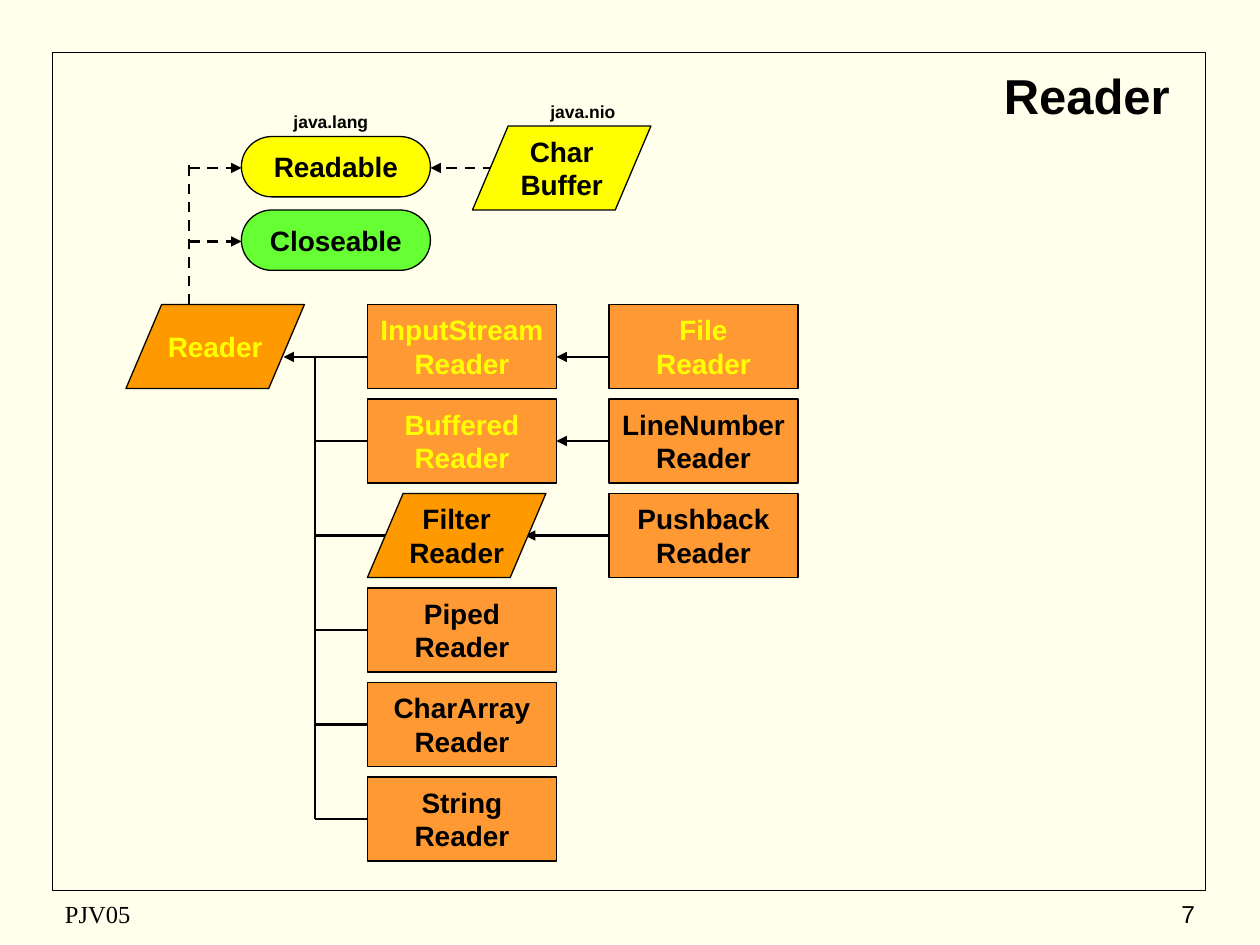
"""Build the Reader class hierarchy slide."""
from lxml import etree
from pptx import Presentation
from pptx.dml.color import RGBColor
from pptx.enum import dml, shapes, text
from pptx.oxml import ns
from pptx.util import Pt

COLORS = {
    "paper": "FFFFEB",
    "ink": "000000",
    "yellow": "FFFF00",
    "green": "66FF33",
    "abstract": "FF9900",
    "concrete": "FF9933",
}
KINDS = {
    "class": (shapes.MSO_SHAPE.FLOWCHART_PROCESS, 108, 48),
    "abstract": (shapes.MSO_SHAPE.FLOWCHART_DATA, 102, 48),
    "interface": (shapes.MSO_SHAPE.FLOWCHART_TERMINATOR, 108, 34.5),
}
ROOT_X, CHILD_X, GRANDCHILD_X = 72, 210, 348
TRUNK_X, INTERFACE_X, DASH_X = 180, 138, 108
FIRST_ROW, ROW_STEP = 174, 54
CHILDREN = [
    ("InputStream", "class", "yellow"),
    ("Buffered", "class", "yellow"),
    ("Filter", "abstract", "ink"),
    ("Piped", "class", "ink"),
    ("CharArray", "class", "ink"),
    ("String", "class", "ink"),
]
GRANDCHILDREN = [("File", "yellow"), ("LineNumber", "ink"), ("Pushback", "ink")]
INTERFACES = [("Readable", "yellow", 78, 96), ("Closeable", "green", 120, 138)]


def color(name):
    """Return the named colour."""
    return RGBColor.from_string(COLORS[name])


def write(box, words, size, ink="ink", bold=True, font="Arial",
          align=text.PP_ALIGN.CENTER, anchor=text.MSO_ANCHOR.MIDDLE, wrap=False):
    """Put formatted text into a shape."""
    frame = box.text_frame
    frame.text = words
    frame.word_wrap = wrap
    frame.auto_size = text.MSO_AUTO_SIZE.NONE
    frame.vertical_anchor = anchor
    frame.margin_left = frame.margin_right = Pt(7.2)
    frame.margin_top = frame.margin_bottom = Pt(3.6)
    for para in frame.paragraphs:
        para.alignment = align
        for span in para.runs:
            span.font.name = font
            span.font.size = Pt(size)
            span.font.bold = bold
            span.font.color.rgb = color(ink)


def add_label(page, words, left, top, width, height, size, **style):
    """Add a text box."""
    box = page.shapes.add_textbox(Pt(left), Pt(top), Pt(width), Pt(height))
    write(box, words, size, **style)


def add_node(page, words, kind, left, top, fill, ink="ink"):
    """Add a type of the hierarchy."""
    preset, width, height = KINDS[kind]
    node = page.shapes.add_shape(preset, Pt(left), Pt(top), Pt(width), Pt(height))
    node.shadow.inherit = False
    node.fill.solid()
    node.fill.fore_color.rgb = color(fill)
    node.line.color.rgb = color("ink")
    node.line.width = Pt(0.75)
    write(node, words, 16, ink)


def add_line(page, x1, y1, x2, y2, arrow=False, dashed=False):
    """Add a straight line, with an arrowhead at its end if wanted."""
    line = page.shapes.add_connector(
        shapes.MSO_CONNECTOR.STRAIGHT, Pt(x1), Pt(y1), Pt(x2), Pt(y2))
    line.line.color.rgb = color("ink")
    line.line.width = Pt(1.5)
    if dashed:
        line.line.dash_style = dml.MSO_LINE.DASH
    properties = line._element.spPr
    if arrow:
        outline = properties.find(ns.qn("a:ln"))
        etree.SubElement(outline, ns.qn("a:tailEnd"), type="triangle")
    etree.SubElement(properties, ns.qn("a:effectLst"))


def add_frame(page):
    """Add the border, the title and the footer."""
    page.background.fill.solid()
    page.background.fill.fore_color.rgb = color("paper")
    border = page.shapes.add_shape(
        shapes.MSO_SHAPE.RECTANGLE, Pt(30), Pt(30), Pt(659), Pt(479))
    border.shadow.inherit = False
    border.fill.background()
    border.line.color.rgb = color("ink")
    border.line.width = Pt(1)
    title = page.shapes.title
    title.left, title.top, title.width, title.height = Pt(558), Pt(36), Pt(126), Pt(36)
    write(title, "Reader", 28, wrap=True)
    add_label(page, "PJV05", 30, 510, 228, 24, 14, bold=False,
              font="Times New Roman", align=text.PP_ALIGN.LEFT)
    add_label(page, "7", 540, 510, 150, 24, 14, bold=False,
              align=text.PP_ALIGN.RIGHT)


def add_interfaces(page):
    """Add the interfaces and the types that implement them."""
    add_line(page, DASH_X, FIRST_ROW, DASH_X, 94.5, dashed=True)
    add_line(page, 282, 96, 246, 96, arrow=True, dashed=True)
    for name, fill, top, level in INTERFACES:
        add_line(page, DASH_X, level, INTERFACE_X, level, arrow=True, dashed=True)
        add_node(page, name, "interface", INTERFACE_X, top, fill)
    add_node(page, "Char\nBuffer", "abstract", 270, 72, "yellow")
    for name, left, top in [("java.lang", 144, 60), ("java.nio", 288, 54)]:
        add_label(page, name, left, top, 90, 19.5, 10,
                  anchor=text.MSO_ANCHOR.TOP, wrap=True)


def add_readers(page):
    """Add the root class with its children and grandchildren."""
    levels = [204] + [252 + ROW_STEP * row for row in range(len(CHILDREN) - 1)]
    add_line(page, TRUNK_X, levels[-1], TRUNK_X, levels[0])
    add_node(page, "Reader", "abstract", ROOT_X, FIRST_ROW, "abstract", "yellow")
    for row, (name, kind, ink) in enumerate(CHILDREN):
        top, level = FIRST_ROW + ROW_STEP * row, levels[row]
        slanted = kind == "abstract"
        start = CHILD_X + (12 if slanted else 0)
        add_line(page, start, level, TRUNK_X if row else 162, level, arrow=row == 0)
        if row < len(GRANDCHILDREN):
            end = 300 if slanted else CHILD_X + 108
            add_line(page, GRANDCHILD_X, level, end, level, arrow=True)
            grandchild, shade = GRANDCHILDREN[row]
            add_node(page, f"{grandchild}\nReader", "class", GRANDCHILD_X, top,
                     "concrete", shade)
        fill = "abstract" if slanted else "concrete"
        add_node(page, f"{name}\nReader", kind, CHILD_X, top, fill, ink)


def main():
    """Build and save the deck."""
    deck = Presentation()
    deck.slide_width, deck.slide_height = Pt(720), Pt(540)
    page = deck.slides.add_slide(deck.slide_layouts[5])
    add_frame(page)
    add_readers(page)
    add_interfaces(page)
    deck.save("out.pptx")


if __name__ == "__main__":
    main()
